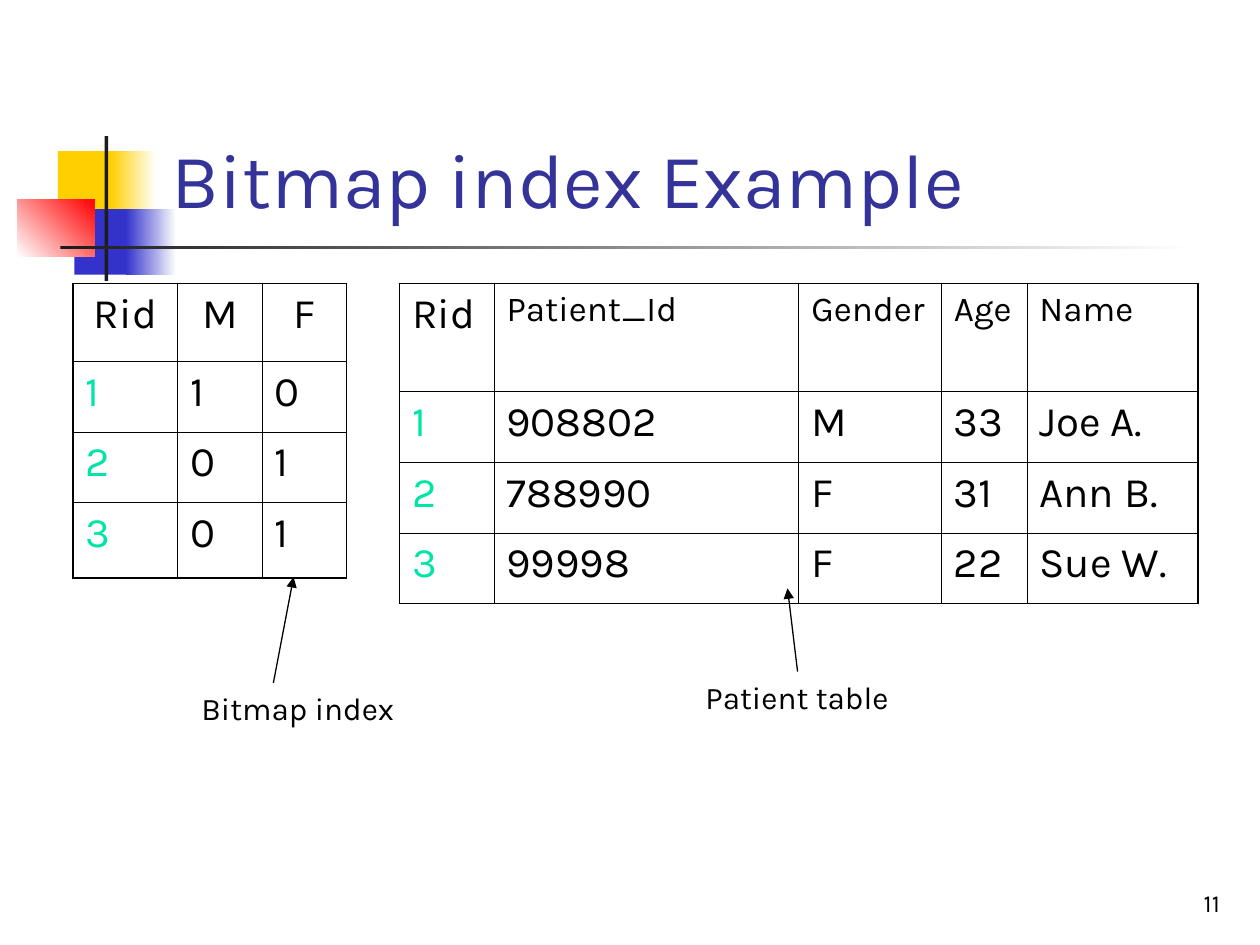
"""Build the bitmap index example slide."""
import pptx
import pptx.dml.color
import pptx.enum.shapes
import pptx.enum.text
import pptx.oxml
import pptx.oxml.ns
import pptx.util

Inches, Pt = pptx.util.Inches, pptx.util.Pt
RGBColor = pptx.dml.color.RGBColor
PP_ALIGN, MSO_ANCHOR = pptx.enum.text.PP_ALIGN, pptx.enum.text.MSO_ANCHOR
MSO_SHAPE = pptx.enum.shapes.MSO_SHAPE

BLACK = RGBColor(0, 0, 0)
WHITE = RGBColor(0xFF, 0xFF, 0xFF)
CHARCOAL = RGBColor(0x1C, 0x1C, 0x1C)
YELLOW = RGBColor(0xFF, 0xCF, 0x01)
BLUE = RGBColor(0x33, 0x33, 0xCC)
RED = RGBColor(0xFF, 0, 0)
NAVY = RGBColor(0x33, 0x33, 0x99)
GREEN = RGBColor(0, 0xE4, 0xA8)
FONT = "Karla"
OUTER, INNER = 1.08, 0.45

TITLE = "Bitmap index Example"
DECOR = [
    ((0.46, 1.2, 0.48, 0.52), (YELLOW,), 0),
    ((0.88, 1.2, 0.36, 0.52), (YELLOW, WHITE), 0),
    ((0.59, 1.66, 0.46, 0.52), (BLUE,), 0),
    ((1, 1.66, 0.4, 0.52), (BLUE, WHITE), 0),
    ((0.14, 1.58, 0.61, 0.46), (WHITE, RED), 45),
    ((0.83, 1.08, 0.03, 1.15), (CHARCOAL,), 0),
    ((0.48, 1.95, 9, 0.03), (CHARCOAL, WHITE), 0),
]
TABLES = [
    {"at": (0.58, 2.25), "cols": [0.83, 0.67, 0.67],
     "rows": [0.62, 0.56, 0.56, 0.6],
     "header_align": PP_ALIGN.CENTER, "header_sizes": [24, 24, 24],
     "cells": [["Rid", "M", "F"], ["1", "1", "0"], ["2", "0", "1"], ["3", "0", "1"]]},
    {"at": (3.17, 2.25), "cols": [0.75, 2.42, 1.13, 0.68, 1.36],
     "rows": [0.86, 0.56, 0.56, 0.56],
     "header_align": PP_ALIGN.LEFT, "header_sizes": [24, 20, 20, 20, 20],
     "cells": [["Rid", "Patient_Id", "Gender", "Age", "Name"],
               ["1", "908802", "M", "33", "Joe A."],
               ["2", "788990", "F", "31", "Ann B."],
               ["3", "99998", "F", "22", "Sue W."]]},
]
LABELS = [
    ("Bitmap index", (1.5, 5.42, 2.17, 0.4), 18, PP_ALIGN.LEFT, MSO_ANCHOR.TOP),
    ("Patient table", (5.5, 5.33, 2.75, 0.4), 18, PP_ALIGN.LEFT, MSO_ANCHOR.TOP),
    ("11", (7.7, 6.83, 2.08, 0.5), 14, PP_ALIGN.RIGHT, MSO_ANCHOR.BOTTOM),
]
ARROWS = [((2.17, 5.42), (2.33, 4.58)), ((6.33, 5.33), (6.25, 4.67))]


def inches(values):
    return [Inches(v) for v in values]


def write(tf, text, size, color, align=PP_ALIGN.LEFT):
    tf.text = text
    p = tf.paragraphs[0]
    p.alignment = align
    font = p.runs[0].font
    font.name, font.size = FONT, Pt(size)
    font.color.rgb = color


def add_decor(s, at, colors, angle):
    sp = s.shapes.add_shape(MSO_SHAPE.RECTANGLE, *inches(at))
    sp.shadow.inherit = False
    sp.line.fill.background()
    if len(colors) == 1:
        sp.fill.solid()
        sp.fill.fore_color.rgb = colors[0]
        return
    sp.fill.gradient()
    sp.fill.gradient_angle = angle
    for stop, color, position in zip(sp.fill.gradient_stops, colors, (0, 1)):
        stop.color.rgb = color
        stop.position = position


def add_title(s):
    sp = s.shapes.title
    s.shapes.element.append(sp.element)
    sp.left, sp.top, sp.width, sp.height = inches((1.26, 0.23, 8.52, 1.6))
    tf = sp.text_frame
    tf.auto_size = pptx.enum.text.MSO_AUTO_SIZE.NONE
    tf.vertical_anchor = MSO_ANCHOR.BOTTOM
    write(tf, TITLE, 44, NAVY)


def set_borders(cell, edges):
    tc_pr = cell._tc.get_or_add_tcPr()
    for side, outside in edges.items():
        width = Pt(OUTER if outside else INNER)
        tc_pr.append(pptx.oxml.parse_xml(
            f'<a:ln{side} {pptx.oxml.ns.nsdecls("a")} w="{width}"><a:solidFill>'
            f'<a:srgbClr val="{BLACK}"/></a:solidFill></a:ln{side}>'))


def add_grid(s, spec):
    cols, rows = spec["cols"], spec["rows"]
    box = inches((*spec["at"], sum(cols), sum(rows)))
    table = s.shapes.add_table(len(rows), len(cols), *box).table
    table.first_row = table.horz_banding = False
    for col, width in zip(table.columns, cols):
        col.width = Inches(width)
    for row, height in zip(table.rows, rows):
        row.height = Inches(height)
    for i, texts in enumerate(spec["cells"]):
        for j, text in enumerate(texts):
            cell = table.cell(i, j)
            size = spec["header_sizes"][j] if i == 0 else 24
            align = spec["header_align"] if i == 0 else PP_ALIGN.LEFT
            color = GREEN if i > 0 and j == 0 else BLACK
            write(cell.text_frame, text, size, color, align)
            set_borders(cell, {"L": j == 0, "R": j == len(cols) - 1,
                               "T": i == 0, "B": i == len(rows) - 1})
            cell.fill.background()


def add_label(s, text, at, size, align, anchor):
    tf = s.shapes.add_textbox(*inches(at)).text_frame
    tf.word_wrap = True
    tf.vertical_anchor = anchor
    write(tf, text, size, BLACK, align)


def add_arrow(s, start, end):
    line = s.shapes.add_connector(
        pptx.enum.shapes.MSO_CONNECTOR.STRAIGHT, *inches(start + end))
    line.line.color.rgb = BLACK
    line.line.width = Pt(0.75)
    ns = pptx.oxml.ns.nsdecls("a")
    line.line._get_or_add_ln().append(
        pptx.oxml.parse_xml(f'<a:tailEnd {ns} type="triangle"/>'))
    line.element.spPr.append(pptx.oxml.parse_xml(f"<a:effectLst {ns}/>"))


def main():
    prs = pptx.Presentation()
    prs.slide_width, prs.slide_height = inches((10, 7.5))
    s = prs.slides.add_slide(prs.slide_layouts[5])
    for decor in DECOR:
        add_decor(s, *decor)
    add_title(s)
    for spec in TABLES:
        add_grid(s, spec)
    for label in LABELS:
        add_label(s, *label)
    for arrow in ARROWS:
        add_arrow(s, *arrow)
    prs.save("out.pptx")


if __name__ == "__main__":
    main()
